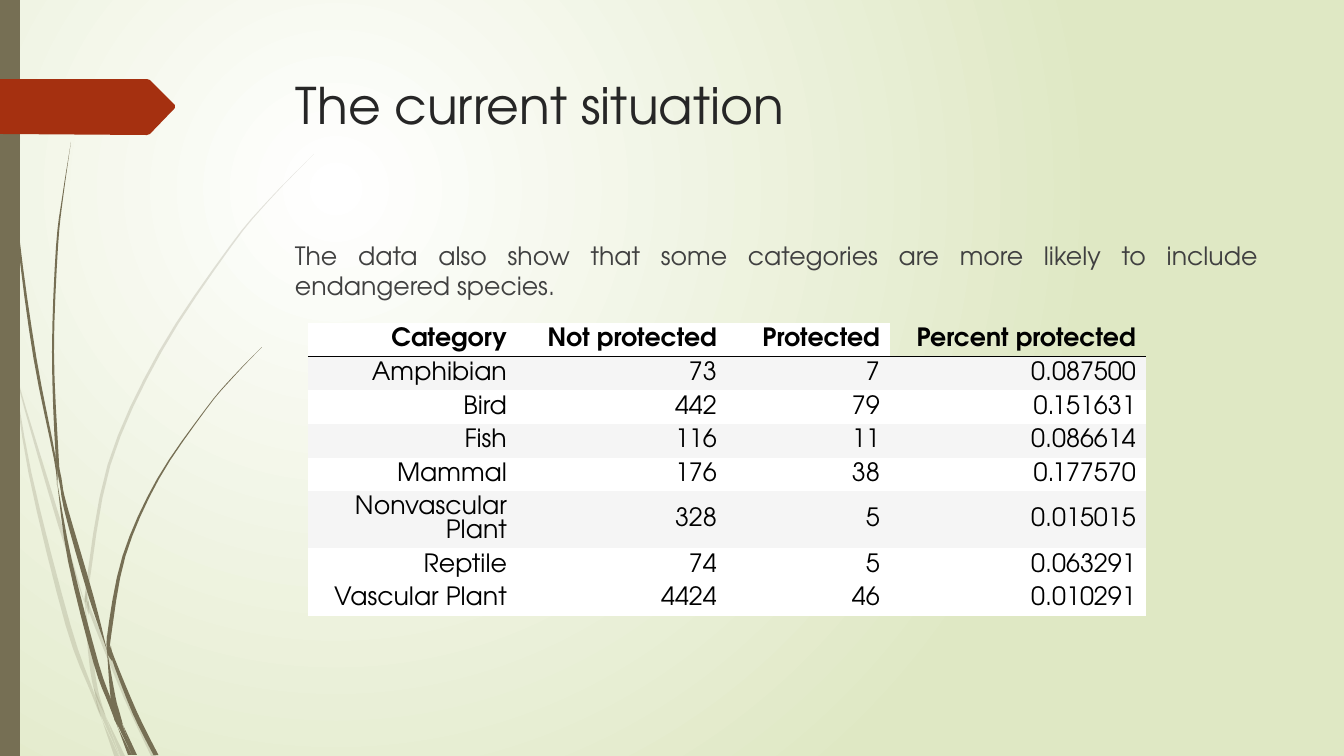
from lxml import etree
from pptx import Presentation
from pptx.dml.color import RGBColor
from pptx.enum.shapes import MSO_SHAPE
from pptx.enum.text import MSO_ANCHOR, PP_ALIGN
from pptx.oxml.ns import qn
from pptx.util import Emu, Pt

RECT = MSO_SHAPE.RECTANGLE
LEFT, RIGHT, FULL = PP_ALIGN.LEFT, PP_ALIGN.RIGHT, PP_ALIGN.JUSTIFY
MIDDLE = MSO_ANCHOR.MIDDLE

FONT = "TeX Gyre Adventor"
OLIVE, RED = "766F54", "A53010"
WHITE, GREY, BLACK = "FFFFFF", "F5F5F5", "000000"
GLOW = [(0, WHITE), (1, "DFE8C4")]
PLAIN = "{2D5ABB26-0587-4C30-8999-92F81FD0307C}"

TEXTS = [
    ("The current situation", (286, 69, 983, 141), 36, "262626", LEFT),
    ("The data also show that some categories are more likely to include "
     "endangered species.", (285, 235, 983, 416), 18, "404040", FULL),
]

ROWS = [
    ("Category", "Not protected", "Protected", "Percent protected"),
    ("Amphibian", "73", "7", "0.087500"),
    ("Bird", "442", "79", "0.151631"),
    ("Fish", "116", "11", "0.086614"),
    ("Mammal", "176", "38", "0.177570"),
    ("Nonvascular Plant", "328", "5", "0.015015"),
    ("Reptile", "74", "5", "0.063291"),
    ("Vascular Plant", "4424", "46", "0.010291"),
]
COLS = [209, 210, 163, 256]
SHADED = (1, 3, 5)
ROW, TALL = 33, 57

TAG = [(0, 79), (147, 79), (150, 80), (175, 105), (175, 108), (150, 134),
       (147, 135), (0, 134)]

PALE = [
    [(0, 292, 3), (11, 353, 0)],
    [(14, 348, 0), (17, 379, 1), (60, 525, 4), (85, 604, 0)],
    [(89, 601, 0), (91, 613, 3), (126, 697, 5), (154, 757, 5)],
    [(106, 717, 0), (123, 757, 5)],
    [(11, 353, 0), (30, 473, 3), (68, 625, 5), (93, 694, 3), (102, 720, 0)],
    [(85, 604, 0), (90, 651, 4), (96, 690, 4), (106, 717, 0)],
    [(314, 154, 0), (270, 199, 1), (230, 247, 2), (160, 352, 3),
     (109, 465, 3), (87, 589, 3), (87, 601, 0)],
    [(102, 720, 0), (117, 757, 5)],
    [(86, 591, 0), (87, 603, 4), (89, 615, 0)],
    [(94, 688, 0), (99, 705, 4), (104, 718, 4), (120, 757, 0)],
]
DARK = [
    [(4, 0, 1), (8, 110, 1), (18, 234, 2), (35, 358, 3), (55, 459, 2),
     (57, 485, 0)],
    [(60, 476, 0), (66, 509, 4), (91, 596, 5), (107, 650, 0)],
    [(111, 646, 0), (113, 658, 3), (135, 713, 5), (156, 755, 5)],
    [(57, 481, 0), (70, 561, 4), (96, 663, 5), (111, 705, 4), (118, 728, 0)],
    [(71, 142, 0), (63, 195, 1), (57, 247, 2), (53, 352, 2), (57, 453, 3),
     (60, 476, 0)],
    [(123, 725, 0), (135, 755, 4)],
    [(55, 453, 0), (60, 478, 3), (65, 509, 0)],
    [(262, 347, 0), (233, 377, 1), (206, 409, 1), (158, 479, 2),
     (124, 556, 3), (109, 637, 4), (111, 646, 0)],
    [(118, 728, 0), (130, 755, 4)],
    [(107, 650, 0), (113, 697, 5), (117, 712, 5), (123, 725, 0)],
    [(107, 636, 0), (109, 652, 4), (112, 661, 0)],
    [(111, 697, 0), (117, 718, 6), (120, 725, 5), (133, 755, 2)],
]

SCALE = 914400 / 100.8
STEPS = 4


def px(num):
    return Emu(round(num * SCALE))


def rgb(code):
    return RGBColor.from_string(code)


def paint(shape, code, alpha=None):
    shape.shadow.inherit = False
    shape.line.fill.background()
    shape.fill.solid()
    shape.fill.fore_color.rgb = rgb(code)
    if alpha:
        tint = shape._element.spPr.find(".//" + qn("a:srgbClr"))
        etree.SubElement(tint, qn("a:alpha"), val=str(alpha * 1000))


def curve(pts):
    ends = [pts[0], *pts, pts[-1]]
    out = []
    for quad in zip(ends, ends[1:], ends[2:], ends[3:]):
        for step in range(STEPS):
            t = step / STEPS
            out.append([
                b + t * (c - a) / 2
                + t * t * (2 * a - 5 * b + 4 * c - d) / 2
                + t ** 3 * (3 * b - a - 3 * c + d) / 2
                for a, b, c, d in zip(*quad)])
    return out + [pts[-1]]


def form(edge, code, alpha=None):
    edge = [(px(max(x, 0)), px(y)) for x, y in edge]
    pen = shapes.build_freeform(*edge[0])
    pen.add_line_segments(edge[1:], close=True)
    paint(pen.convert_to_shape(), code, alpha)


def blade(pts, alpha=None):
    line = curve(pts) if len(pts) > 2 else pts
    edge = [(x - w / 2, y) for x, y, w in line]
    edge += [(x + w / 2, y) for x, y, w in reversed(line)]
    form(edge, OLIVE, alpha)


def write(para, text, size, code, align, bold=False):
    para.text = text
    para.alignment = align
    font = para.font
    font.name, font.size, font.bold = FONT, Pt(size), bold
    font.color.rgb = rgb(code)


def rule(cell):
    line = etree.SubElement(cell._tc.get_or_add_tcPr(), qn("a:lnB"),
                            w="12700")
    fill = etree.SubElement(line, qn("a:solidFill"))
    etree.SubElement(fill, qn("a:srgbClr"), val=BLACK)


deck = Presentation()
deck.slide_width, deck.slide_height = px(1344), px(756)
slide = deck.slides.add_slide(deck.slide_layouts[6])
shapes = slide.shapes

back = slide.background.fill
back.gradient()
for stop, (place, code) in zip(back.gradient_stops, GLOW):
    stop.position = place
    stop.color.rgb = rgb(code)
grad = slide._element.find(".//" + qn("a:gradFill"))
grad.remove(grad.find(qn("a:lin")))
ring = etree.SubElement(grad, qn("a:path"), path="circle")
etree.SubElement(ring, qn("a:fillToRect"),
                 l="50000", t="50000", r="100000", b="100000")

for pts in PALE:
    blade(pts, 20)
for pts in DARK:
    blade(pts)

bar = shapes.add_shape(RECT, 0, 0, px(20), px(756))
paint(bar, OLIVE)
form(TAG, RED)

for text, box, size, code, align in TEXTS:
    frame = shapes.add_textbox(*map(px, box)).text_frame
    frame.word_wrap = True
    write(frame.paragraphs[0], text, size, code, align)

high = ROW * (len(ROWS) - 1) + TALL
grid = shapes.add_table(len(ROWS), len(COLS), px(308), px(323),
                        px(sum(COLS)), px(high))
table = grid.table
table.first_row = table.horz_banding = False
table._tbl.tblPr.find(qn("a:tableStyleId")).text = PLAIN
for col, wide in zip(table.columns, COLS):
    col.width = px(wide)
for r, row in enumerate(ROWS):
    table.rows[r].height = px(TALL if "Nonvascular" in row[0] else ROW)
    for c, text in enumerate(row):
        cell = table.cell(r, c)
        cell.vertical_anchor = MIDDLE
        para = cell.text_frame.paragraphs[0]
        write(para, text, 18, BLACK, RIGHT, r == 0)
        para.line_spacing = Pt(16.8)
        if r == 0:
            rule(cell)
        if r == 0 and c == len(COLS) - 1:
            cell.fill.background()
        else:
            cell.fill.solid()
            cell.fill.fore_color.rgb = rgb(GREY if r in SHADED else WHITE)

deck.save("out.pptx")
